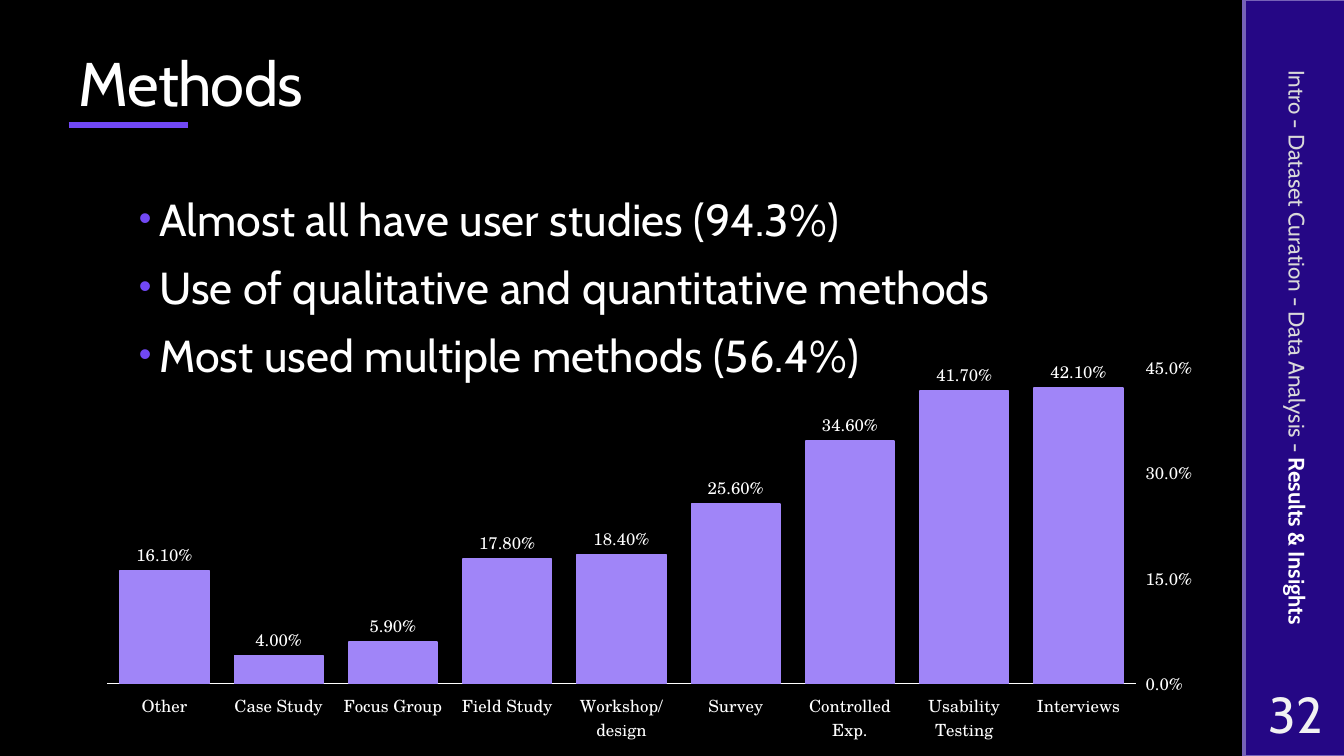
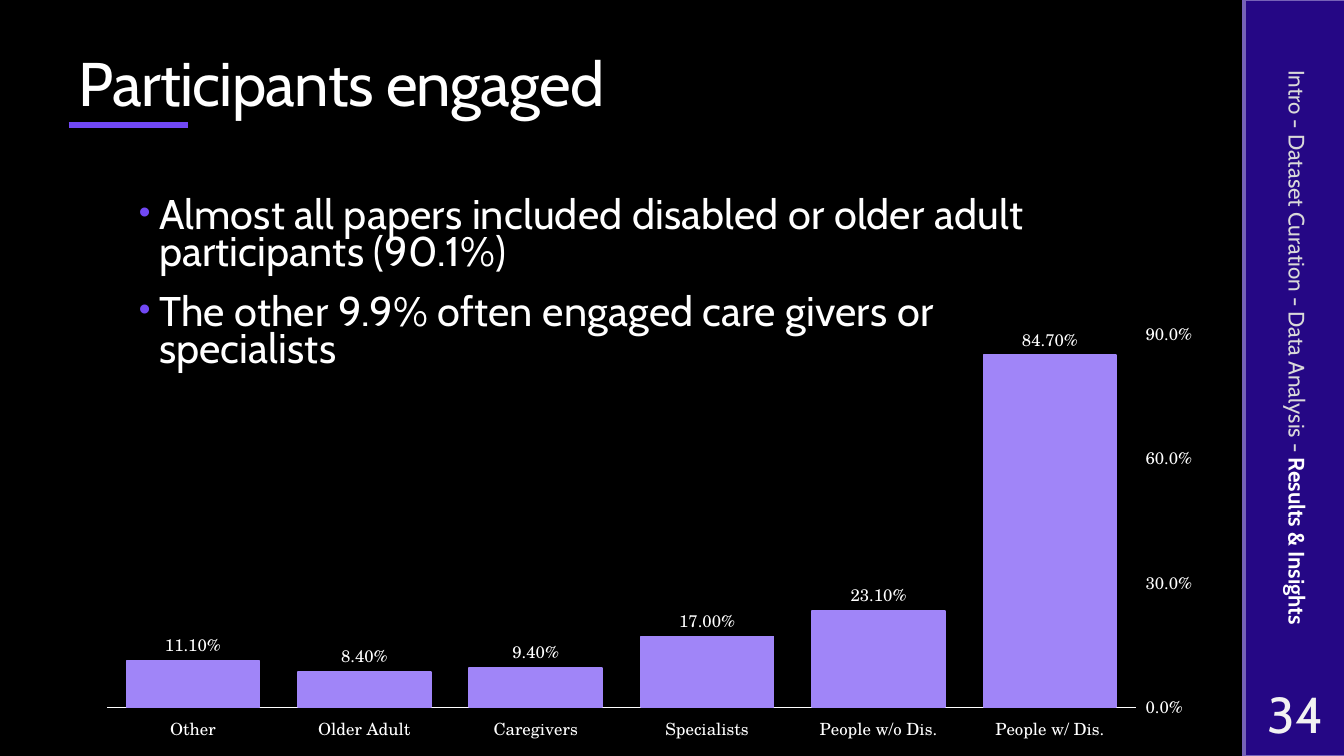
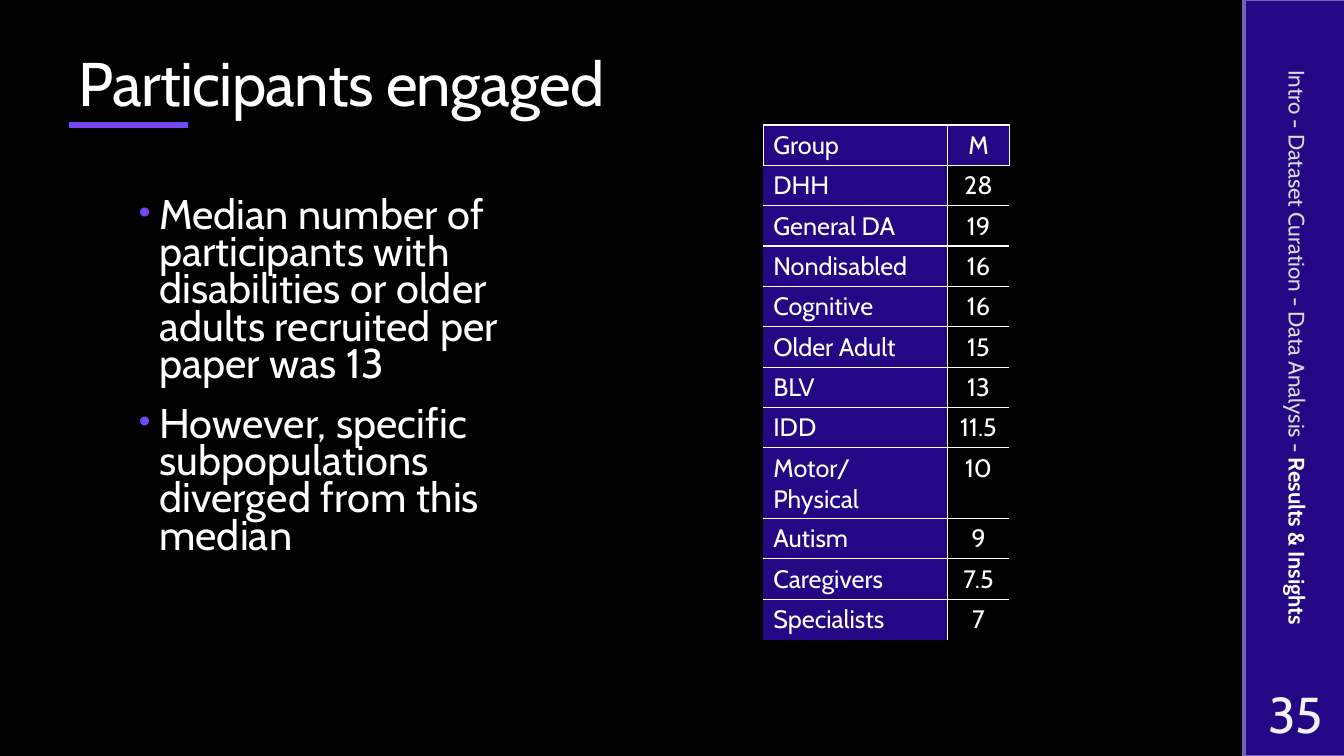
from lxml.etree import SubElement
from pptx import Presentation
from pptx.chart.data import CategoryChartData
from pptx.dml.color import RGBColor
from pptx.enum.chart import (XL_CHART_TYPE, XL_LABEL_POSITION,
                             XL_TICK_LABEL_POSITION, XL_TICK_MARK)
from pptx.enum.shapes import MSO_CONNECTOR, MSO_SHAPE
from pptx.enum.text import MSO_ANCHOR, MSO_AUTO_SIZE, PP_ALIGN
from pptx.oxml.ns import qn
from pptx.util import Inches, Pt

TITLE_ONLY = 5
SECTIONS_BEFORE = "Intro - Dataset Curation - Data Analysis - "
CURRENT_SECTION = "Results & Insights"


def color(hex_text):
    return RGBColor.from_string(hex_text)


def box(left, top, width, height):
    return Inches(left), Inches(top), Inches(width), Inches(height)


def add_solid_fill(parent, hex_text):
    fill = SubElement(parent, qn("a:solidFill"))
    SubElement(fill, qn("a:srgbClr")).set("val", hex_text)


class Deck:
    """Holds the style, the presentation and the current slide."""

    TEXT_FONT = "Cabin"
    CHART_FONT = "TeX Gyre Schola"
    BLACK, WHITE = "000000", "FFFFFF"
    BAND, BAND_EDGE = "250785", "7662B7"
    ACCENT, BAR = "7148F4", "A085F8"
    MUTED, NUMBER = "D9D9D9", "F2F2F2"

    def __init__(self):
        self.presentation = Presentation()
        self.presentation.slide_width = Inches(13.33)
        self.presentation.slide_height = Inches(7.5)
        background = self.presentation.slide_master.background.fill
        background.solid()
        background.fore_color.rgb = color(self.BLACK)
        self.slide = None

    def style_font(self, font, size, hex_text=WHITE, name=TEXT_FONT, bold=False):
        font.name, font.size, font.bold = name, Pt(size), bold
        font.color.rgb = color(hex_text)

    def style_run(self, run, size, hex_text=WHITE, bold=False, spacing=0):
        """Format a run; spacing is the letter spacing in points."""
        self.style_font(run.font, size, hex_text, bold=bold)
        if spacing:
            run._r.get_or_add_rPr().set("spc", str(round(spacing * 100)))

    def start_slide(self, title, number):
        layout = self.presentation.slide_layouts[TITLE_ONLY]
        self.slide = self.presentation.slides.add_slide(layout)
        self.add_side_band(number)
        self.set_title(title)

    def set_title(self, text):
        title = self.slide.shapes.title
        title.left, title.top, title.width, title.height = box(0.68, 0.32, 10.6, 0.92)
        frame = title.text_frame
        frame.text = text
        frame.word_wrap = True
        frame.auto_size = MSO_AUTO_SIZE.NONE
        frame.vertical_anchor = MSO_ANCHOR.BOTTOM
        paragraph = frame.paragraphs[0]
        paragraph.alignment = PP_ALIGN.LEFT
        paragraph.line_spacing = 0.9
        self.style_run(paragraph.runs[0], 44, spacing=-0.5)
        self.add_title_rule()

    def add_title_rule(self):
        rule = self.slide.shapes.add_connector(
            MSO_CONNECTOR.STRAIGHT, Inches(0.68), Inches(1.24), Inches(1.86), Inches(1.24))
        rule.line.color.rgb = color(self.ACCENT)
        rule.line.width = Pt(4.5)
        SubElement(rule._element.spPr, qn("a:effectLst"))

    def add_side_band(self, number):
        for left in (12.33, 12.35):
            band = self.slide.shapes.add_shape(MSO_SHAPE.RECTANGLE, *box(left, 0, 1, 7.5))
            band.shadow.inherit = False
            band.fill.solid()
            band.fill.fore_color.rgb = color(self.BAND)
            band.line.color.rgb = color(self.BAND_EDGE)
            band.line.width = Pt(1.1)
        self.add_label(box(12.35, 6.75, 1, 0.65), [(number, 36, self.NUMBER, False)])
        sections = self.add_label(box(9.74, 3.23, 6.26, 0.44), [
            (SECTIONS_BEFORE, 16, self.MUTED, False),
            (CURRENT_SECTION, 16, self.WHITE, True)])
        sections.rotation = 90

    def add_label(self, area, parts):
        """Add one centred line; parts are (text, size, colour, bold)."""
        label = self.slide.shapes.add_textbox(*area)
        frame = label.text_frame
        frame.word_wrap = True
        frame.vertical_anchor = MSO_ANCHOR.MIDDLE
        frame.margin_left = frame.margin_right = Inches(0.05)
        paragraph = frame.paragraphs[0]
        paragraph.alignment = PP_ALIGN.CENTER
        for text, size, hex_text, bold in parts:
            run = paragraph.add_run()
            run.text = text
            self.style_run(run, size, hex_text, bold)
        return label

    def add_bullets(self, area, items, size, line_spacing):
        frame = self.slide.shapes.add_textbox(*area).text_frame
        frame.word_wrap = True
        frame.text = "\n".join(items)
        for paragraph in frame.paragraphs:
            paragraph.line_spacing = line_spacing
            paragraph.space_before, paragraph.space_after = Pt(14), Pt(2)
            self.style_run(paragraph.runs[0], size, spacing=0.1)
            self.set_bullet(paragraph)

    def set_bullet(self, paragraph):
        properties = paragraph._p.get_or_add_pPr()
        properties.set("marL", str(Inches(0.2)))
        properties.set("indent", str(-Inches(0.2)))
        bullet_color = SubElement(properties, qn("a:buClr"))
        SubElement(bullet_color, qn("a:srgbClr")).set("val", self.ACCENT)
        SubElement(properties, qn("a:buSzPct")).set("val", "80000")
        SubElement(properties, qn("a:buFont")).set("typeface", "Arial")
        SubElement(properties, qn("a:buChar")).set("char", "•")

    def add_column_chart(self, area, shares, maximum, step):
        """Add a column chart of shares with its value labels on the right."""
        data = CategoryChartData()
        data.categories = list(shares)
        data.add_series("Series 1", list(shares.values()))
        chart = self.slide.shapes.add_chart(
            XL_CHART_TYPE.COLUMN_CLUSTERED, *area, data).chart
        chart.has_title = chart.has_legend = False
        self.style_font(chart.font, 10, name=self.CHART_FONT)
        self.style_axes(chart, maximum, step)

        plot = chart.plots[0]
        plot.gap_width, plot.overlap = 29, -27
        plot.vary_by_categories = False
        series = plot.series[0]
        series.format.fill.solid()
        series.format.fill.fore_color.rgb = color(self.BAR)
        series.format.line.color.rgb = color(self.BAR)
        series.format.line.width = Pt(1.25)
        labels = series.data_labels
        labels.show_value = True
        labels.position = XL_LABEL_POSITION.OUTSIDE_END
        labels.number_format, labels.number_format_is_linked = "0.00%", False
        self.style_font(labels.font, 12, name=self.CHART_FONT)

    def style_axes(self, chart, maximum, step):
        categories, values = chart.category_axis, chart.value_axis
        for axis in (categories, values):
            axis.has_major_gridlines = False
            self.style_font(axis.tick_labels.font, 12, name=self.CHART_FONT)
        categories.tick_label_position = XL_TICK_LABEL_POSITION.LOW
        categories.major_tick_mark = XL_TICK_MARK.NONE
        categories.format.line.color.rgb = color(self.WHITE)
        categories.format.line.width = Pt(0.75)
        values.minimum_scale, values.maximum_scale = 0, maximum
        values.major_unit = step
        values.tick_label_position = XL_TICK_LABEL_POSITION.HIGH
        values.major_tick_mark = XL_TICK_MARK.OUTSIDE
        values.format.line.fill.background()
        values.tick_labels.number_format = "0.0%"
        values.tick_labels.number_format_is_linked = False

    def add_table(self, left, top, widths, rows, line_height=0.3):
        """Add a table whose row heights follow the lines in the first cell."""
        heights = [0.1 + line_height * (1 + row[0].count("\n")) for row in rows]
        table = self.slide.shapes.add_table(
            len(rows), len(widths), *box(left, top, sum(widths), sum(heights))).table
        table.horz_banding = False
        for column, width in zip(table.columns, widths):
            column.width = Inches(width)
        for row_index, row in enumerate(rows):
            table.rows[row_index].height = Inches(heights[row_index])
            for column_index, text in enumerate(row):
                self.fill_cell(table.cell(row_index, column_index), text,
                               is_header=row_index == 0, is_name=column_index == 0,
                               is_last=row_index == len(rows) - 1)

    def fill_cell(self, cell, text, is_header, is_name, is_last):
        cell.text = text
        for paragraph in cell.text_frame.paragraphs:
            paragraph.alignment = PP_ALIGN.LEFT if is_name else PP_ALIGN.CENTER
            self.style_run(paragraph.runs[0], 18)
        inner_side = "R" if is_name else "L"
        sides = "LRTB" if is_header else inner_side + ("T" if is_last else "TB")
        self.set_borders(cell, sides)
        if is_header or is_name:
            cell.fill.solid()
            cell.fill.fore_color.rgb = color(self.BAND)
        else:
            cell.fill.background()

    def set_borders(self, cell, sides):
        """Draw the named sides (of L, R, T, B) and clear the others."""
        properties = cell._tc.get_or_add_tcPr()
        for side in "LRTB":
            line = SubElement(properties, qn("a:ln" + side))
            line.set("w", str(Pt(1)))
            if side in sides:
                add_solid_fill(line, self.WHITE)
            else:
                SubElement(line, qn("a:noFill"))


def main():
    deck = Deck()

    deck.start_slide("Methods", "32")
    deck.add_column_chart(box(0.84, 3.45, 11.21, 3.99), {
        "Other": 0.161, "Case Study": 0.04, "Focus Group": 0.059,
        "Field Study": 0.178, "Workshop/ design": 0.184, "Survey": 0.256,
        "Controlled Exp.": 0.346, "Usability Testing": 0.417, "Interviews": 0.421,
    }, maximum=0.45, step=0.15)
    deck.add_bullets(box(1.28, 1.93, 9.4, 1.95), [
        "Almost all have user studies (94.3%)",
        "Use of qualitative and quantitative methods",
        "Most used multiple methods (56.4%)",
    ], size=32, line_spacing=0.85)

    deck.start_slide("Participants engaged", "34")
    deck.add_column_chart(box(0.84, 3.1, 11.21, 4.34), {
        "Other": 0.111, "Older Adult": 0.084, "Caregivers": 0.094,
        "Specialists": 0.17, "People w/o Dis.": 0.231, "People w/ Dis.": 0.847,
    }, maximum=0.9, step=0.3)
    deck.add_bullets(box(1.28, 1.93, 9.4, 1.95), [
        "Almost all papers included disabled or older adult participants (90.1%)",
        "The other 9.9% often engaged care givers or specialists",
    ], size=29.6, line_spacing=0.75)

    deck.start_slide("Participants engaged", "35")
    deck.add_table(7.57, 1.24, (1.83, 0.61), [
        ("Group", "M"), ("DHH", "28"), ("General DA", "19"), ("Nondisabled", "16"),
        ("Cognitive", "16"), ("Older Adult", "15"), ("BLV", "13"), ("IDD", "11.5"),
        ("Motor/\nPhysical", "10"), ("Autism", "9"), ("Caregivers", "7.5"),
        ("Specialists", "7"),
    ])
    deck.add_bullets(box(1.28, 1.93, 4.57, 4.11), [
        "Median number of participants with disabilities or older adults "
        "recruited per paper was 13",
        "However, specific subpopulations diverged from this median",
    ], size=29.6, line_spacing=0.75)

    deck.presentation.save("out.pptx")


if __name__ == "__main__":
    main()
